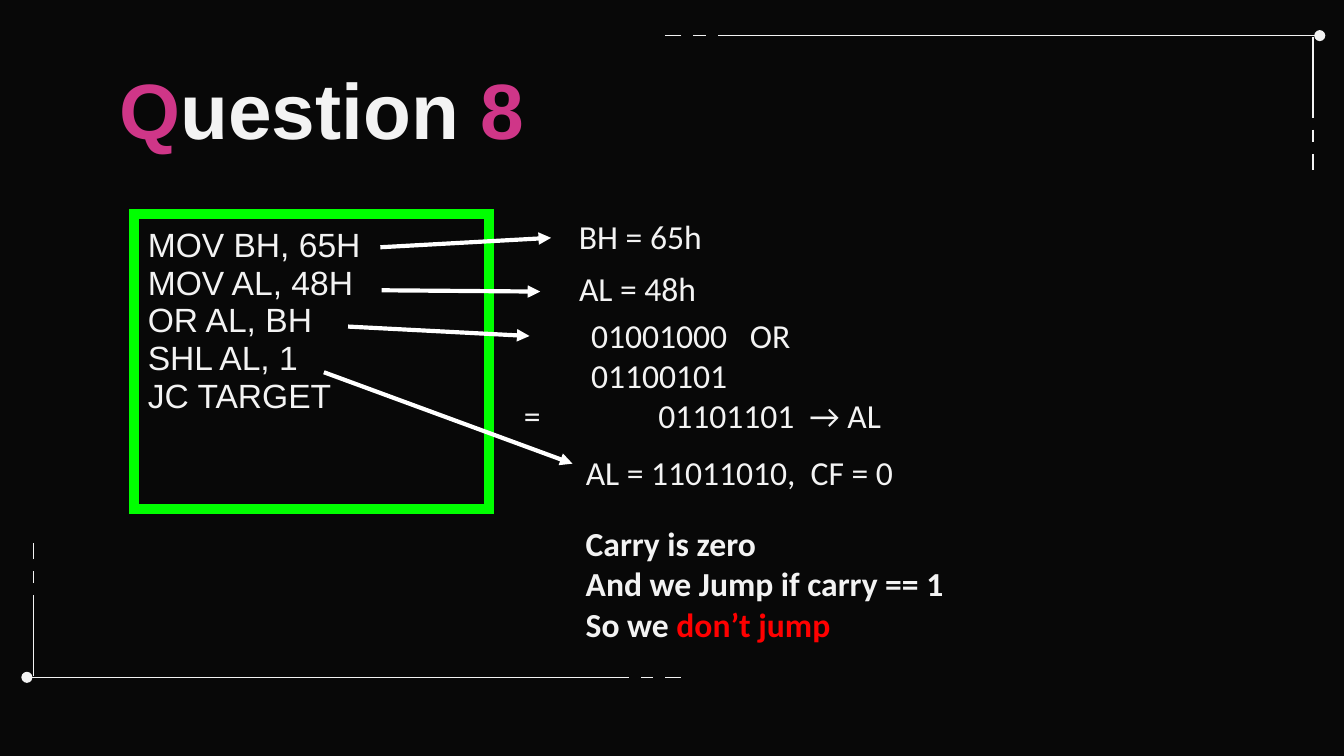
from collections import namedtuple

from lxml.etree import SubElement
from pptx import Presentation
from pptx.dml.color import RGBColor
from pptx.enum.shapes import MSO_CONNECTOR as Connector
from pptx.enum.text import MSO_ANCHOR as Anchor
from pptx.oxml.ns import qn
from pptx.util import Inches, Pt

BLACK = RGBColor(0x08, 0x08, 0x08)
LIGHT = RGBColor(0xF3, 0xF3, 0xF3)
WHITE = RGBColor(0xFF, 0xFF, 0xFF)
PINK = RGBColor(0xCF, 0x36, 0x88)
GREEN = RGBColor(0x00, 0xFF, 0x00)
RED = RGBColor(0xFF, 0x00, 0x00)

# The slide is a grid of 100 columns by 56.25 rows (16:9).
CELL = Inches(0.1)
COLUMNS, ROWS = 100, 56.25
Box = namedtuple("Box", "left top width height")

CODE = ["MOV BH, 65H", "MOV AL, 48H", "OR AL, BH", "SHL AL, 1", "JC TARGET"]


def grid(*counts):
    return [round(count * CELL) for count in counts]


def write_lines(frame, lines, font, size, bold=False):
    """Each line is a list of (text, colour) runs."""
    frame.word_wrap = True
    frame.margin_left = frame.margin_right = CELL
    frame.margin_top = frame.margin_bottom = CELL
    for index, line in enumerate(lines):
        paragraph = frame.paragraphs[0] if index == 0 else frame.add_paragraph()
        for text, colour in line:
            run = paragraph.add_run()
            run.text = text
            run.font.name = font
            run.font.size = Pt(size)
            run.font.bold = bold
            run.font.color.rgb = colour


def add_text(slide, box, lines, font="Calibri", size=18, bold=False):
    frame = slide.shapes.add_textbox(*grid(*box)).text_frame
    write_lines(frame, lines, font, size, bold)
    return frame


def add_line(slide, start, end, colour, width, head=None, tail=None):
    line = slide.shapes.add_connector(Connector.STRAIGHT, *grid(*start, *end))
    line.line.color.rgb = colour
    line.line.width = Pt(width)
    outline = line.line._get_or_add_ln()
    for tag, kind in (("a:headEnd", head), ("a:tailEnd", tail)):
        if kind:
            SubElement(outline, qn(tag), type=kind)
    SubElement(line._element.spPr, qn("a:effectLst"))


def add_corner(slide, x, y, right, down):
    """Dashed bracket with a dot at (x, y); right and down are 1 or -1."""
    for start, end in ((0, 44.8), (45.7, 46.6), (47.5, 48.7)):
        add_line(slide, (x + right * start, y), (x + right * end, y),
                 LIGHT, 0.75, head=None if start else "oval")
    side = x + right * 0.5
    for start, end in ((0.1, 6.1), (7, 7.9), (8.8, 10)):
        add_line(slide, (side, y + down * start), (side, y + down * end), LIGHT, 0.75)


def add_title(slide, box):
    runs = [("Q", PINK), ("uestion ", LIGHT), ("8", PINK)]
    frame = add_text(slide, box, [runs], "Arial", 42, bold=True)
    frame.vertical_anchor = Anchor.MIDDLE


def add_code_table(slide, box):
    table = slide.shapes.add_table(1, 1, *grid(*box)).table
    table.first_row = table.horz_banding = False
    cell = table.cell(0, 0)
    cell.margin_left = cell.margin_right = CELL
    cell.margin_top = cell.margin_bottom = CELL
    write_lines(cell.text_frame, [[(line, LIGHT)] for line in CODE], "Arial", 18)
    properties = cell._tc.get_or_add_tcPr()
    for tag in ("a:lnL", "a:lnR", "a:lnT", "a:lnB"):
        border = SubElement(properties, qn(tag), w=str(Pt(6)))
        fill = SubElement(border, qn("a:solidFill"))
        SubElement(fill, qn("a:srgbClr"), val=str(GREEN))
    cell.fill.background()


def add_sum(slide, box):
    lines = ["01001000   OR", "01100101", "=\t01101101  → AL"]
    frame = add_text(slide, box, [[(line, LIGHT)] for line in lines])
    *operands, total = [paragraph._p.get_or_add_pPr() for paragraph in frame.paragraphs]
    for properties in operands:
        properties.set("indent", str(Inches(0.5)))
    tabs = SubElement(total, qn("a:tabLst"))
    SubElement(tabs, qn("a:tab"), pos=str(Inches(1)), algn="l")


def add_results(slide, box):
    """Values after each instruction, then the conclusion."""
    left, top = box.left, box.top
    indented = left + 4.6
    add_text(slide, Box(left + 4.1, top, 23.3, 3.8), [[("BH = 65h", LIGHT)]])
    add_text(slide, Box(left + 4.1, top + 3.8, 30.8, 3.8), [[("AL = 48h", LIGHT)]])
    add_sum(slide, Box(left, top + 7.3, 29, 11.4))
    add_text(slide, Box(indented, top + 17.5, 30.8, 3.8),
             [[("AL = 11011010,  CF = 0", LIGHT)]])
    conclusion = [
        [("Carry is zero", LIGHT)],
        [("And we Jump if carry == 1", LIGHT)],
        [("So we ", LIGHT), ("don’t jump", RED)],
    ]
    add_text(slide, Box(indented, top + 22.8, box.width - 4.6, 12.2),
             conclusion, bold=True)


def add_arrows(slide, code, results):
    """Arrows from points in the code box to points in the results box."""
    for (x1, y1), (x2, y2) in (
        ((18.3, 2.5), (3, 2.6)),
        ((18.4, 5.7), (2.2, 6.6)),
        ((15.9, 8.4), (1.4, 9.9)),
        ((14.1, 11.8), (4.6, 19.4)),
    ):
        add_line(slide, (code.left + x1, code.top + y1),
                 (results.left + x2, results.top + y2), WHITE, 2.25, tail="triangle")


def main():
    presentation = Presentation()
    presentation.slide_width, presentation.slide_height = grid(COLUMNS, ROWS)
    slide = presentation.slides.add_slide(presentation.slide_layouts[6])
    slide.background.fill.solid()
    slide.background.fill.fore_color.rgb = BLACK

    code = Box(10, 15.9, 26.4, 22)
    results = Box(38, 15.1, 45, 35)
    add_corner(slide, 98.2, 2.65, right=-1, down=1)
    add_corner(slide, 2, 50.4, right=1, down=-1)
    add_title(slide, Box(7.9, 4.9, 84.3, 6.3))
    add_code_table(slide, code)
    add_results(slide, results)
    add_arrows(slide, code, results)
    presentation.save("out.pptx")


if __name__ == "__main__":
    main()
